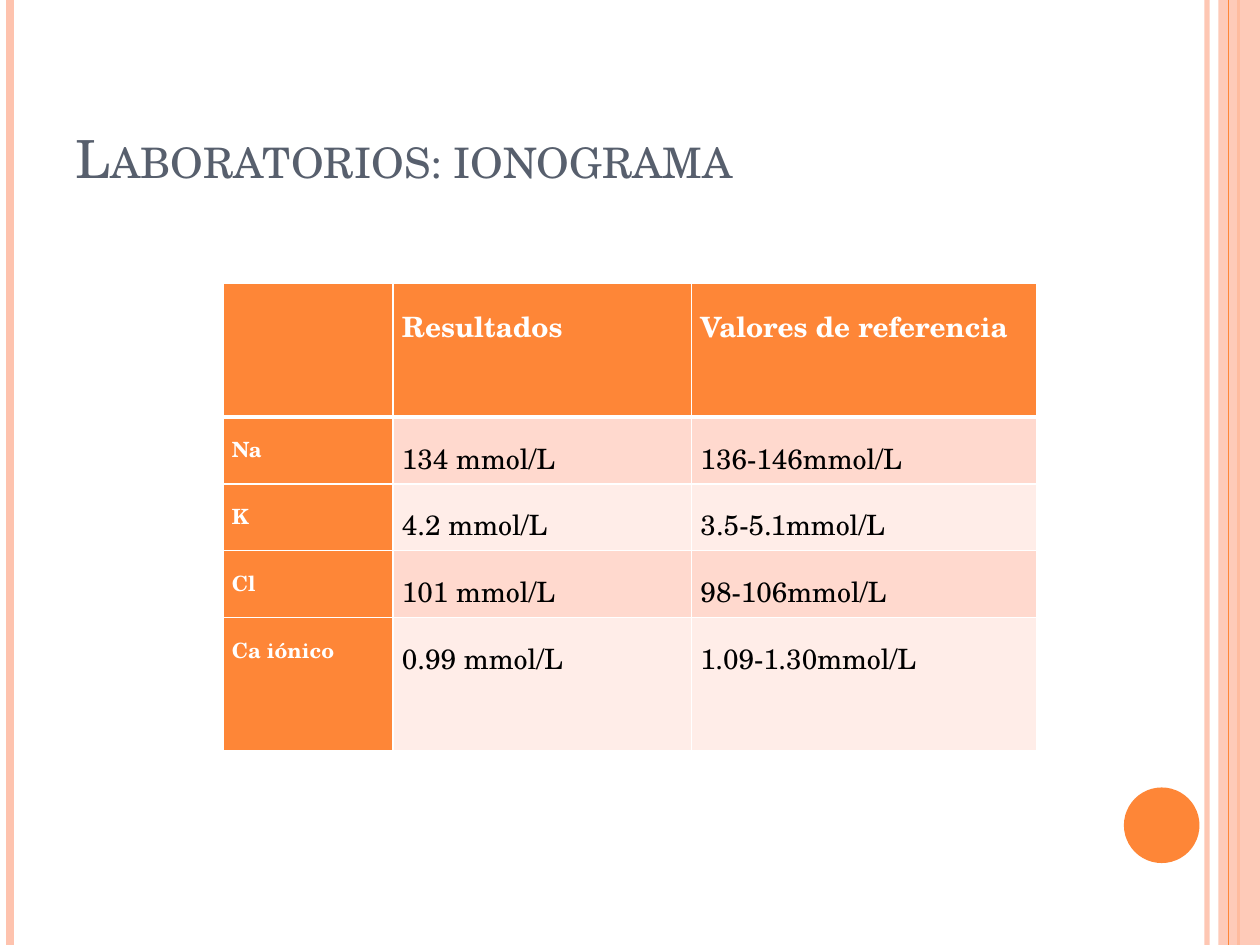
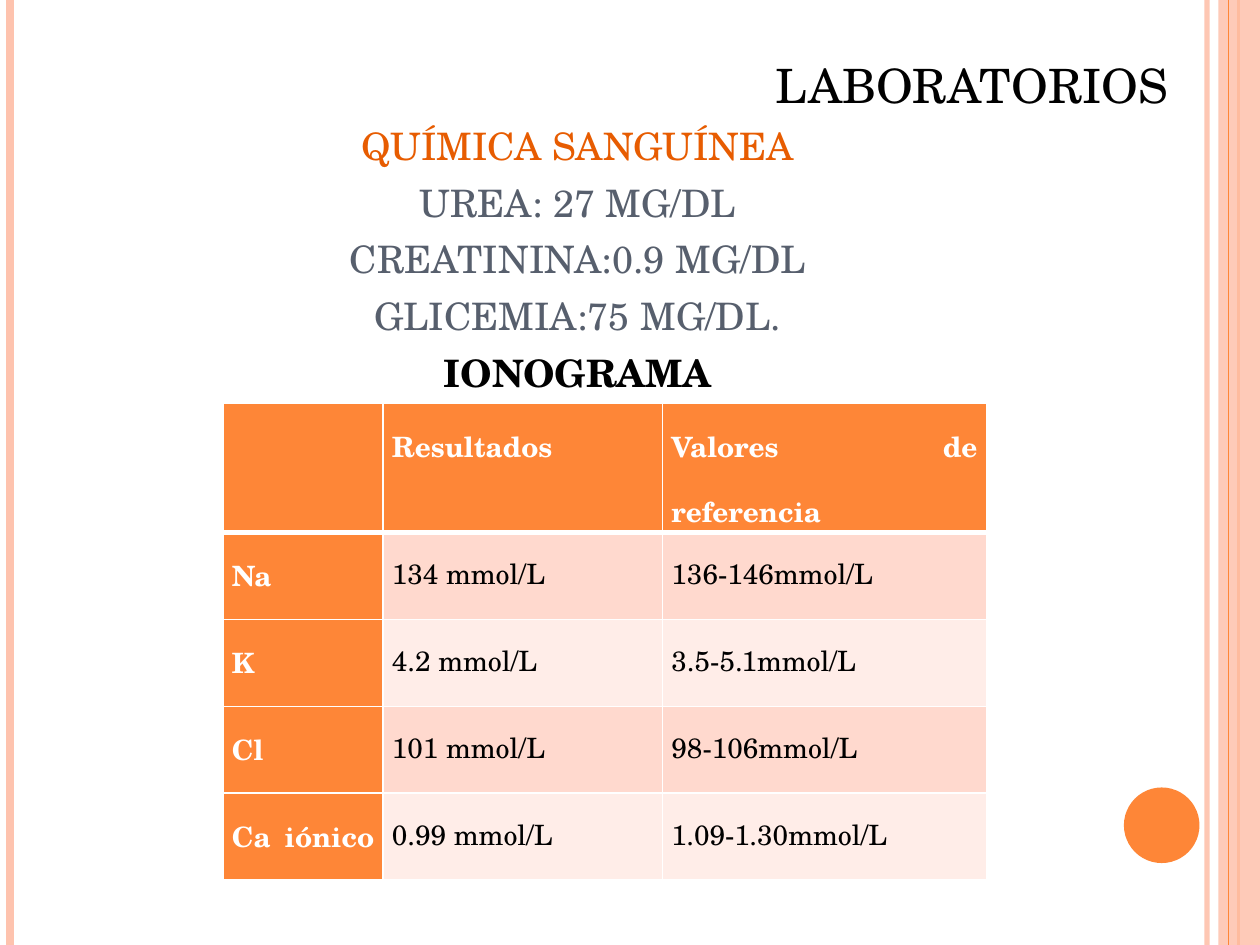
from copy import deepcopy

from lxml import etree
from pptx import Presentation
from pptx import util as u
from pptx.dml.color import RGBColor
from pptx.enum import shapes, text
from pptx.oxml.ns import qn

FONT = "TeX Gyre Schola"
ORANGE, PEACH, SLATE, RUST = "FE8637", "FEC3AE", "575F6D", "E75C01"
WHITE, BLACK = "FFFFFF", "000000"
BANDS = ["FFD9CE", "FFEDE8"]
IONOGRAM = [
    ["", "Resultados", "Valores de referencia"],
    ["Na ", "134 mmol/L", "136-146mmol/L"],
    ["K ", "4.2 mmol/L", "3.5-5.1mmol/L"],
    ["Cl", "101 mmol/L", "98-106mmol/L"],
    ["Ca iónico ", "0.99 mmol/L", "1.09-1.30mmol/L"],
]


def paint(color_format, color):
    color_format.rgb = RGBColor.from_string(color)


def fill_with(fill, color, alpha=100):
    fill.solid()
    paint(fill.fore_color, color)
    if alpha < 100:
        for clr in fill._xPr.iter(qn("a:srgbClr")):
            etree.SubElement(clr, qn("a:alpha"), val=str(alpha * 1000))


def style_run(r, size, color, bold=False):
    r.font.name = FONT
    r.font.size = u.Pt(size)
    r.font.bold = bold
    paint(r.font.color, color)


def add_stripe(s, x, color, width, alpha=100):
    line = s.shapes.add_connector(shapes.MSO_CONNECTOR.STRAIGHT,
                                  u.Inches(x), 0, u.Inches(x), u.Inches(7.5))
    line.line.width = u.Pt(width)
    fill_with(line.line.fill, color, alpha)
    etree.SubElement(line._element.spPr, qn("a:effectLst"))


def add_block(s, kind, left, top, width, height, color, alpha=100):
    sp = s.shapes.add_shape(kind, *map(u.Inches, (left, top, width, height)))
    sp.shadow.inherit = False
    sp.line.fill.background()
    fill_with(sp.fill, color, alpha)


def add_frame(s):
    add_stripe(s, 9.58, PEACH, 3, 93)
    add_stripe(s, 0.08, PEACH, 4.5)
    add_stripe(s, 9.83, ORANGE, 1.5)
    add_block(s, shapes.MSO_SHAPE.RECTANGLE, 9.67, 0, 0.33, 7.5, PEACH, 87)
    add_stripe(s, 9.75, ORANGE, 0.75)
    add_block(s, shapes.MSO_SHAPE.OVAL, 8.92, 6.25, 0.6, 0.6, ORANGE)


def set_title(s, lines, height, size, align, first_indent=0):
    sp = s.shapes.title
    sp.left, sp.top, sp.width, sp.height = map(
        u.Inches, (0.5, 0.3, 8.17, height))
    tf = sp.text_frame
    tf.word_wrap = True
    tf.auto_size = text.MSO_AUTO_SIZE.NONE
    tf.vertical_anchor = text.MSO_ANCHOR.BOTTOM
    p = tf.paragraphs[0]
    p.text = "\v".join(line for line, _, _ in lines)
    p.alignment = align
    if first_indent:
        p._p.get_or_add_pPr().set("indent", str(u.Inches(first_indent)))
    for r, (_, color, bold) in zip(p.runs, lines):
        style_run(r, size, color, bold)
        r._r.rPr.set("cap", "small")
        br = r._r.getnext()
        if br is not None and br.tag == qn("a:br"):
            br.append(deepcopy(r._r.rPr))


def set_borders(cell, top, bottom):
    tcPr = cell._tc.get_or_add_tcPr()
    sides = {"lnL": 1, "lnR": 1, "lnT": top, "lnB": bottom}
    for i, (side, width) in enumerate(sides.items()):
        ln = etree.Element(qn(f"a:{side}"), w=str(u.Pt(width)))
        fill = etree.SubElement(ln, qn("a:solidFill"))
        etree.SubElement(fill, qn("a:srgbClr"), val=WHITE)
        tcPr.insert(i, ln)


def format_cell(cell, value, row, col, label_size):
    heading = row == 0 or col == 0
    cell.margin_left = cell.margin_right = u.Inches(0.07)
    cell.margin_top = cell.margin_bottom = 0
    fill_with(cell.fill, ORANGE if heading else BANDS[(row - 1) % 2])
    set_borders(cell, 3 if row == 1 else 1, 3 if row == 0 else 1)
    if not value:
        return
    p = cell.text_frame.paragraphs[0]
    p.text = value
    p.alignment = text.PP_ALIGN.JUSTIFY
    p.line_spacing = 1.5
    style_run(p.runs[0], label_size if col == 0 else 16,
              WHITE if heading else BLACK, heading)


def add_ionogram(s, top, widths, heights, label_size):
    table = s.shapes.add_table(
        len(heights), len(widths), u.Inches(1.77), u.Inches(top),
        u.Inches(sum(widths)), u.Inches(sum(heights))).table
    for column, width in zip(table.columns, widths):
        column.width = u.Inches(width)
    for row, height in zip(table.rows, heights):
        row.height = u.Inches(height)
    for i, values in enumerate(IONOGRAM):
        for j, value in enumerate(values):
            format_cell(table.cell(i, j), value, i, j, label_size)


def new_slide(prs):
    s = prs.slides.add_slide(prs.slide_layouts[5])
    add_frame(s)
    return s


def main():
    prs = Presentation()
    prs.slide_width, prs.slide_height = u.Inches(10), u.Inches(7.5)

    s = new_slide(prs)
    set_title(s, [("Laboratorios: ionograma", SLATE, False)],
              1.25, 30, text.PP_ALIGN.LEFT)
    add_ionogram(s, 2.25, [1.35, 2.37, 2.74],
                 [1.06, 0.53, 0.53, 0.53, 1.06], 12)

    s = new_slide(prs)
    set_title(s, [
        ("LABORATORIOS", BLACK, False),
        ("química sanguínea", RUST, False),
        ("urea: 27 mg/dl", SLATE, False),
        ("creatinina:0.9 mg/dl", SLATE, False),
        ("glicemia:75 mg/dl.", SLATE, False),
        ("ionograma", BLACK, True),
    ], 2.9, 27, text.PP_ALIGN.CENTER, first_indent=3.14)
    add_ionogram(s, 3.2, [1.27, 2.22, 2.57], [0.69] * 5, 16)

    prs.save("out.pptx")


if __name__ == "__main__":
    main()
